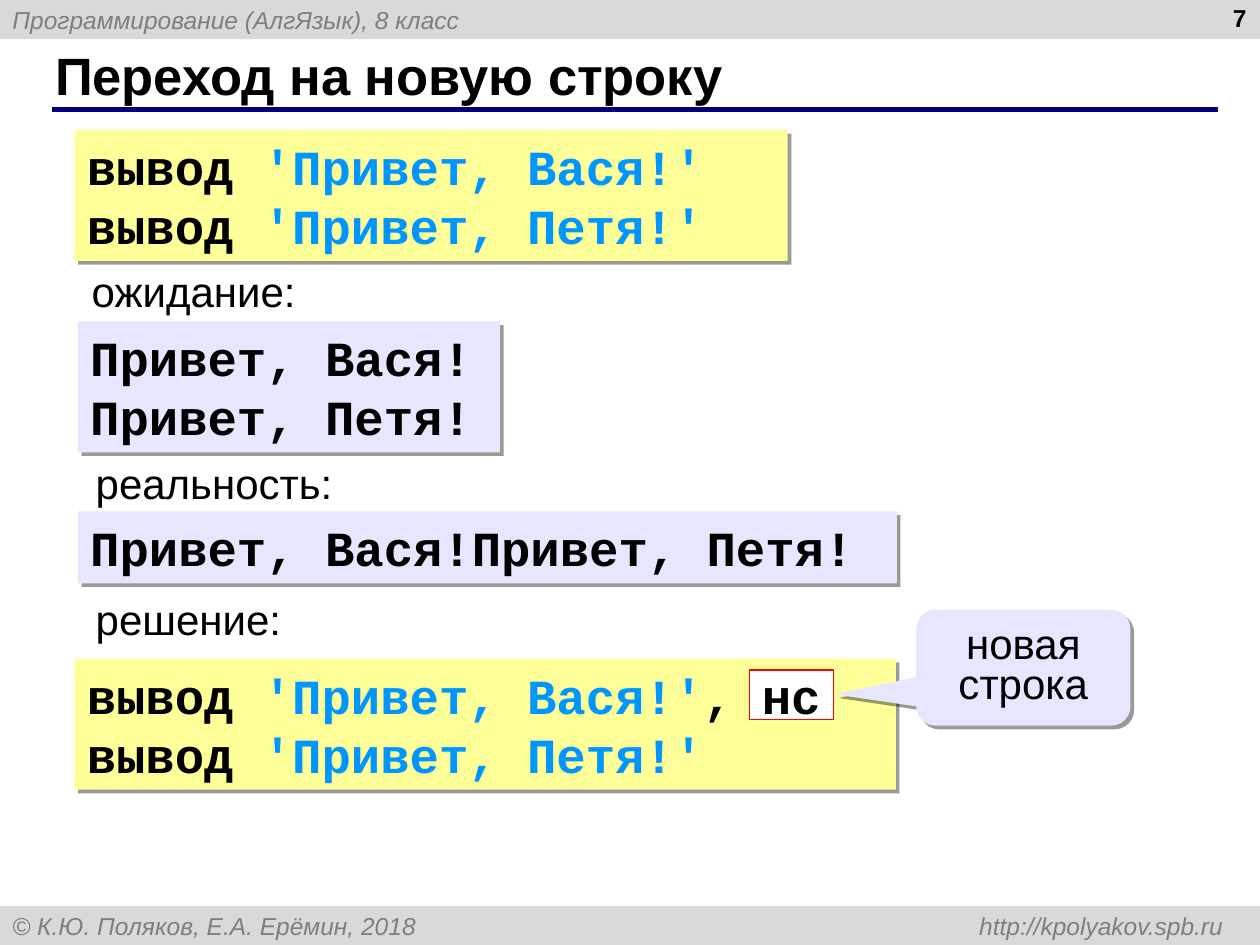
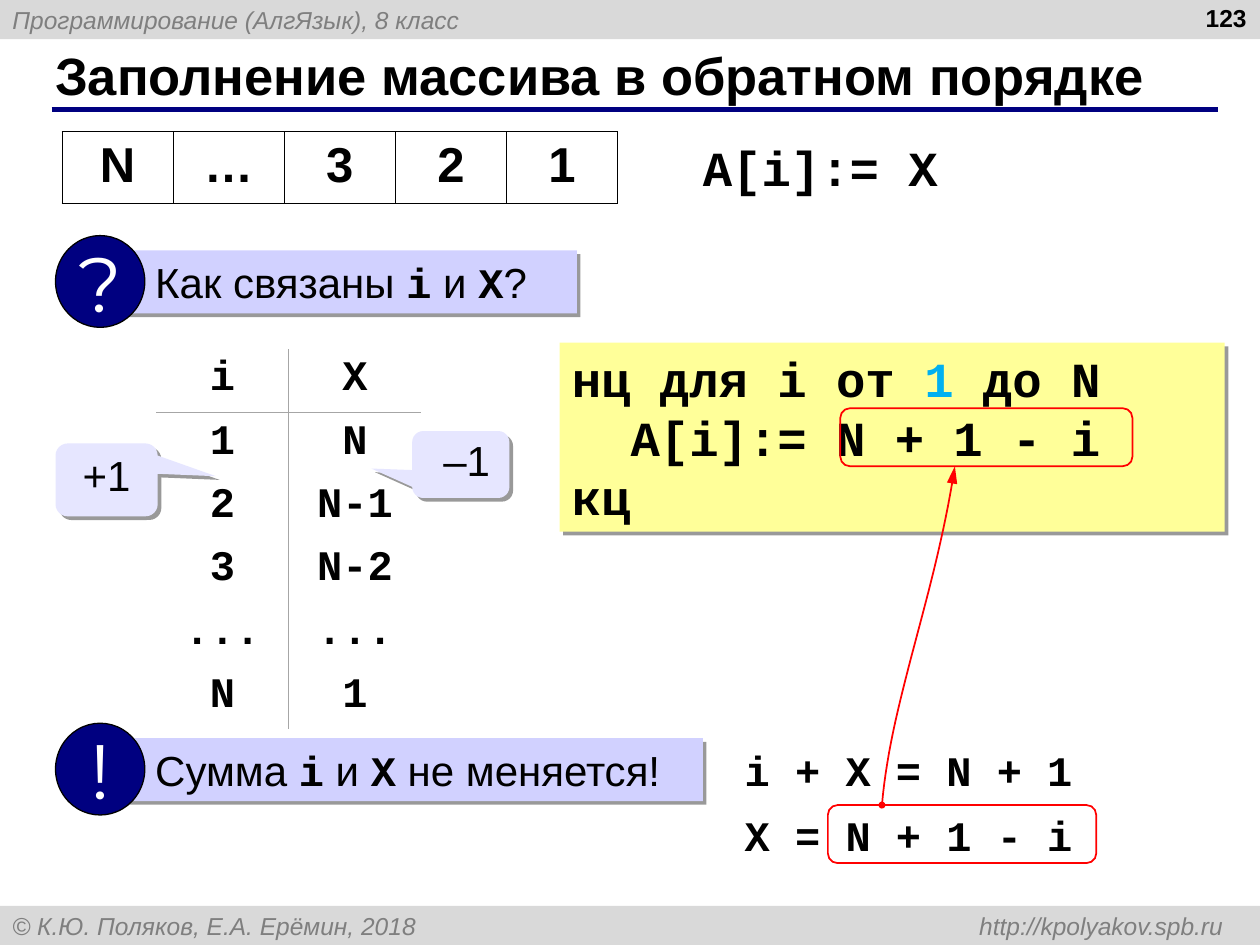
from pptx import Presentation
from pptx.dml.color import RGBColor
from pptx.enum.shapes import MSO_CONNECTOR, MSO_SHAPE
from pptx.enum.text import MSO_ANCHOR, PP_ALIGN
from pptx.oxml import parse_xml
from pptx.oxml.ns import nsdecls, qn
from pptx.util import Cm, Pt

RECT, ROUND = MSO_SHAPE.RECTANGLE, MSO_SHAPE.ROUNDED_RECTANGLE
OVAL, CALL = MSO_SHAPE.OVAL, MSO_SHAPE.ROUNDED_RECTANGULAR_CALLOUT
LEFT, MID, RIGHT = PP_ALIGN.LEFT, PP_ALIGN.CENTER, PP_ALIGN.RIGHT
TOP, CORE = MSO_ANCHOR.TOP, MSO_ANCHOR.MIDDLE


class Theme:
    sans, mono, sign = "Arial", "Courier New", "Montserrat"
    black, white, navy, red = "000000", "FFFFFF", "000080", "FF0000"
    band, grey, rule = "D9D9D9", "7F7F7F", "A6A6A6"
    code, pale, panel = "FFFF99", "E6E6FF", "D1D1FF"
    quote, digit = "0095FF", "00B0F0"
    small, body, big, head, mark = 14, 24, 28, 30, 44


def put(slide, kind, place, fill=None, line=None, width=0.75, shade=False):
    """Add a preset shape, or a text box when kind is None."""
    place = [Cm(v) for v in place]
    if kind is None:
        return slide.shapes.add_textbox(*place)
    shape = slide.shapes.add_shape(kind, *place)
    shape.shadow.inherit = False
    if shade:
        shape.element.spPr.find(qn("a:effectLst")).append(parse_xml(
            f'<a:outerShdw {nsdecls("a")} dist="38100" dir="2700000" algn="tl" rotWithShape="0">'
            f'<a:srgbClr val="{Theme.black}"><a:alpha val="40000"/></a:srgbClr></a:outerShdw>'))
    if fill:
        shape.fill.solid()
        shape.fill.fore_color.rgb = RGBColor.from_string(fill)
    else:
        shape.fill.background()
    if line:
        shape.line.color.rgb = RGBColor.from_string(line)
        shape.line.width = Pt(width)
    else:
        shape.line.fill.background()
    return shape


def write(frame, lines, size, align=LEFT, anchor=TOP, space=1.0, wrap=True, left=0.25, **look):
    """Fill a text frame; a line is a string or a list of strings and (string, look) pairs."""
    frame.word_wrap, frame.vertical_anchor = wrap, anchor
    frame.margin_left, frame.margin_right = Cm(left), Cm(0.25)
    frame.margin_top = frame.margin_bottom = Cm(0.13)
    base = dict(font=Theme.sans, ink=Theme.black, bold=False, italic=False) | look
    for n, line in enumerate(lines):
        para = frame.add_paragraph() if n else frame.paragraphs[0]
        para.alignment, para.line_spacing = align, space
        for part in [line] if isinstance(line, str) else line:
            text, extra = (part, {}) if isinstance(part, str) else part
            style = base | extra
            run = para.add_run()
            run.text = text
            run.font.size, run.font.name = Pt(size), style["font"]
            run.font.bold, run.font.italic = style["bold"], style["italic"]
            run.font.color.rgb = RGBColor.from_string(style["ink"])


deck = Presentation()
deck.slide_width, deck.slide_height = Cm(25.4), Cm(19.05)
code = dict(font=Theme.mono, bold=True)
quote = dict(ink=Theme.quote)

# Shared bands, title and rule
pages = []
for title, number in (("Переход на новую строку", "7"),
                      ("Заполнение массива в обратном порядке", "123")):
    page = deck.slides.add_slide(deck.slide_layouts[6])
    pages.append(page)
    for top, text in ((0, "Программирование (АлгЯзык), 8 класс"),
                      (18.26, "© К.Ю. Поляков, Е.А. Ерёмин, 2018\thttp://kpolyakov.spb.ru")):
        band = put(page, RECT, (0, top, 25.4, 0.79), Theme.band)
        write(band.text_frame, [text], Theme.small, anchor=CORE, ink=Theme.grey, italic=True)
    band.text_frame.paragraphs[0]._p.get_or_add_pPr().append(parse_xml(
        f'<a:tabLst {nsdecls("a")}><a:tab pos="{Cm(24.41)}" algn="r"/></a:tabLst>'))
    rule = page.shapes.add_connector(MSO_CONNECTOR.STRAIGHT, Cm(1.04), Cm(2.21), Cm(24.56), Cm(2.21))
    rule.line.color.rgb = RGBColor.from_string(Theme.navy)
    rule.line.width = Pt(3)
    rule.element.spPr.append(parse_xml(f'<a:effectLst {nsdecls("a")}/>'))
    write(put(page, None, (0.86, 0.84, 23.27, 1.32)).text_frame, [title], Theme.head,
          anchor=CORE, bold=True)
    write(put(page, None, (19.46, 0, 5.92, 0.71)).text_frame, [number], Theme.small,
          align=RIGHT, anchor=CORE, bold=True)
first, second = pages

# Slide 1: programs and their output
vasya = ["вывод ", ("'Привет, Вася!'", quote)]
petya = ["вывод ", ("'Привет, Петя!'", quote)]
for place, fill, lines in (
        ((1.5, 2.62, 14.38, 2.64), Theme.code, [vasya, petya]),
        ((1.57, 6.48, 8.51, 2.64), Theme.pale, ["Привет, Вася!", "Привет, Петя!"]),
        ((1.57, 10.31, 16.51, 1.45), Theme.pale, ["Привет, Вася!Привет, Петя!"]),
        ((1.5, 13.28, 16.56, 2.64), Theme.code, [vasya + [","], petya])):
    block = put(first, RECT, place, fill, shade=True)
    write(block.text_frame, lines, Theme.big, **code)

# Slide 1: captions
for left, top, text in ((1.6, 5.41, "ожидание:"), (1.68, 9.3, "реальность:"),
                        (1.68, 12.04, "решение:")):
    label = put(first, None, (left, top, 6.35, 1.07))
    write(label.text_frame, [text], Theme.body, space=0.8)

# Slide 1: the new-line word
word = put(first, RECT, (15.11, 13.51, 1.7, 0.99), Theme.white, Theme.red)
write(word.text_frame, ["нс"], Theme.big, anchor=CORE, **code)

# Slide 2: array and index tables
for rows, left, top, wide, high, size, ink, full, font in (
        (["N … 3 2 1"], 1.25, 2.65, 2.24, 1.45, Theme.big, Theme.black, True, Theme.sans),
        (["i X", "1 N", "2 N-1", "3 N-2", "... ...", "N 1"], 3.15, 7.04, 2.67, 1.27,
         Theme.body, Theme.rule, False, Theme.mono)):
    rows = [row.split() for row in rows]
    count = len(rows[0])
    grid = second.shapes.add_table(len(rows), count, Cm(left), Cm(top),
                                   Cm(wide * count), Cm(high * len(rows))).table
    grid.first_row = grid.horz_banding = False
    for col in grid.columns:
        col.width = Cm(wide)
    for r, row in enumerate(rows):
        grid.rows[r].height = Cm(high)
        for c, text in enumerate(row):
            cell = grid.cell(r, c)
            write(cell.text_frame, [text], size, align=MID, font=font, bold=True)
            cell.margin_left = cell.margin_right = Cm(0.25)
            cell.margin_top = cell.margin_bottom = Cm(0.13)
            cell.vertical_anchor = TOP
            cell.fill.background()
            sides = (("L", c == 1), ("R", c == 0), ("T", r == 1), ("B", r == 0))
            for n, (side, inner) in enumerate(sides):
                paint = (f'<a:solidFill><a:srgbClr val="{ink}"/></a:solidFill>'
                         if full or inner else "<a:noFill/>")
                cell._tc.get_or_add_tcPr().insert(n, parse_xml(
                    f'<a:ln{side} {nsdecls("a")} w="{Pt(0.45)}">{paint}</a:ln{side}>'))

# Slide 2: question and conclusion panels
for top, wide, sign, start, end in ((5.05, 9.22, "?", "Как связаны ", "?"),
                                    (14.88, 11.76, "!", "Сумма ", " не меняется!")):
    panel = put(second, RECT, (2.41, top, wide, 1.27), Theme.panel, shade=True)
    write(panel.text_frame, [[start, ("i", code), " и ", ("X", code), end]], Theme.body, left=0.72)
    disc = put(second, OVAL, (1.12, top - 0.3, 1.8, 1.85), Theme.navy, Theme.black)
    write(disc.text_frame, [sign], Theme.mark, align=MID, anchor=CORE, wrap=False,
          font=Theme.sign, ink=Theme.white)

# Callouts on both slides
for page, place, tip, text, left in (
        (first, (18.47, 12.29, 4.32, 2.34), (-0.88, 0.23), "новая строка", 0.25),
        (second, (8.31, 8.69, 1.96, 1.35), (-0.92, 0.06), "–1", 0.49),
        (second, (1.12, 8.94, 2.06, 1.47), (1.07, -0.05), "+1", 0.25)):
    call = put(page, CALL, place, Theme.pale, shade=True)
    call.adjustments[0], call.adjustments[1] = tip
    write(call.text_frame, [text], Theme.body, align=MID, anchor=CORE, space=0.8, left=left)

# Slide 2: formulas
for place, text, size, align in (
        ((13.92, 2.64, 5.8, 1.45), "A[i]:= X", Theme.big, LEFT),
        ((14.51, 14.88, 7.61, 1.27), "i + X = N + 1", Theme.body, MID),
        ((14.51, 16.18, 7.61, 1.27), "X = N + 1 - i", Theme.body, MID)):
    write(put(second, None, place).text_frame, [text], size, align=align, **code)

# Slide 2: loop program
loop = put(second, RECT, (11.28, 6.91, 13.41, 3.81), Theme.code, shade=True)
write(loop.text_frame, [["нц для i от ", ("1", dict(ink=Theme.digit)), " до N"],
                        "  A[i]:= N + 1 - i", "кц"], Theme.big, anchor=CORE, **code)

# Slide 2: red frames joined by a curved arrow
for place in ((16.94, 8.23, 5.89, 1.17), (16.69, 16.23, 5.41, 1.17)):
    put(second, ROUND, place, line=Theme.red, width=1)
bend = ((17.78, 16.23), (17.96, 14.12), (18.85, 12.04), (19.25, 9.4))
dots = []
for step in range(31):
    t = step / 30
    parts = ((1 - t) ** 3, 3 * t * (1 - t) ** 2, 3 * t * t * (1 - t), t ** 3)
    dots.append([Cm(sum(k * spot[axis] for k, spot in zip(parts, bend))) for axis in (0, 1)])
pen = second.shapes.build_freeform(*dots[0])
pen.add_line_segments(dots[1:], close=False)
arrow = pen.convert_to_shape()
arrow.shadow.inherit = False
arrow.fill.background()
arrow.line.color.rgb = RGBColor.from_string(Theme.red)
arrow.line.width = Pt(1)
for tag, kind, size in (("headEnd", "oval", "sm"), ("tailEnd", "triangle", "lg")):
    arrow.element.spPr.find(qn("a:ln")).append(parse_xml(
        f'<a:{tag} {nsdecls("a")} type="{kind}" w="{"sm" if size == "sm" else "med"}" len="{size}"/>'))

deck.save("out.pptx")
